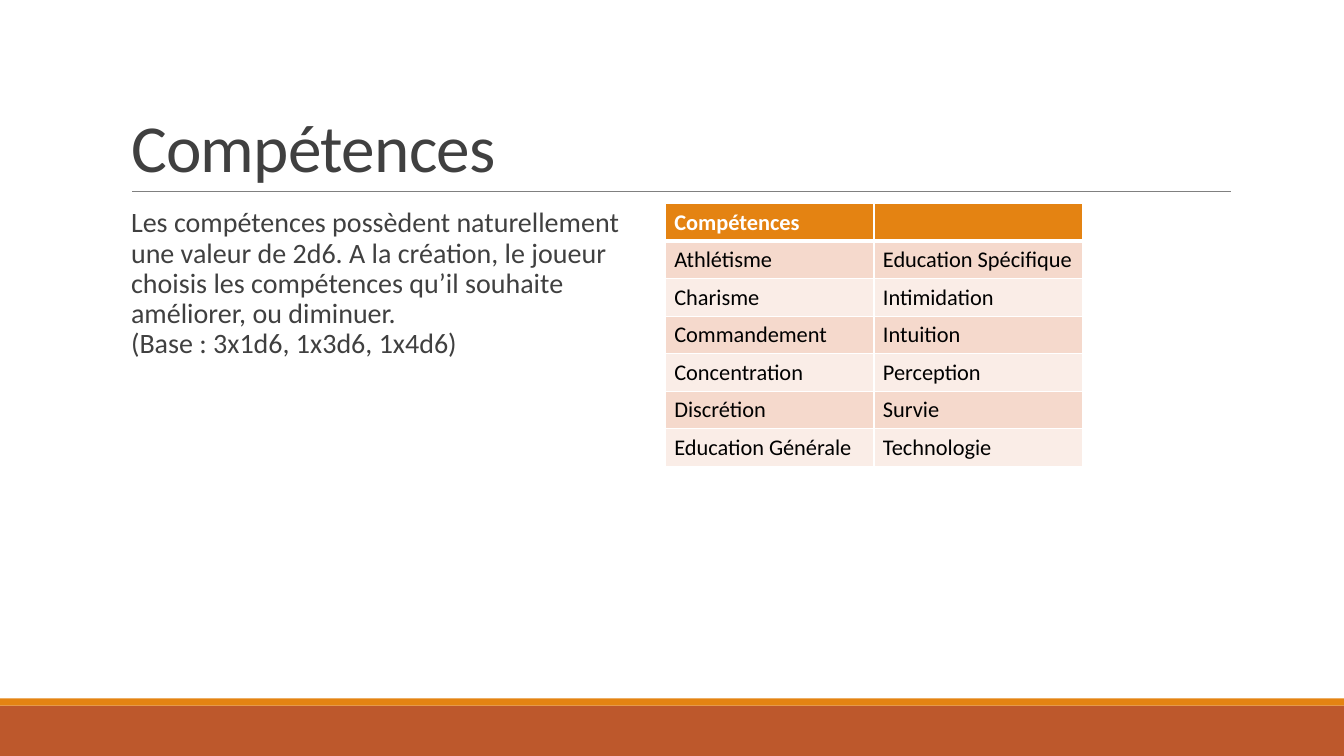
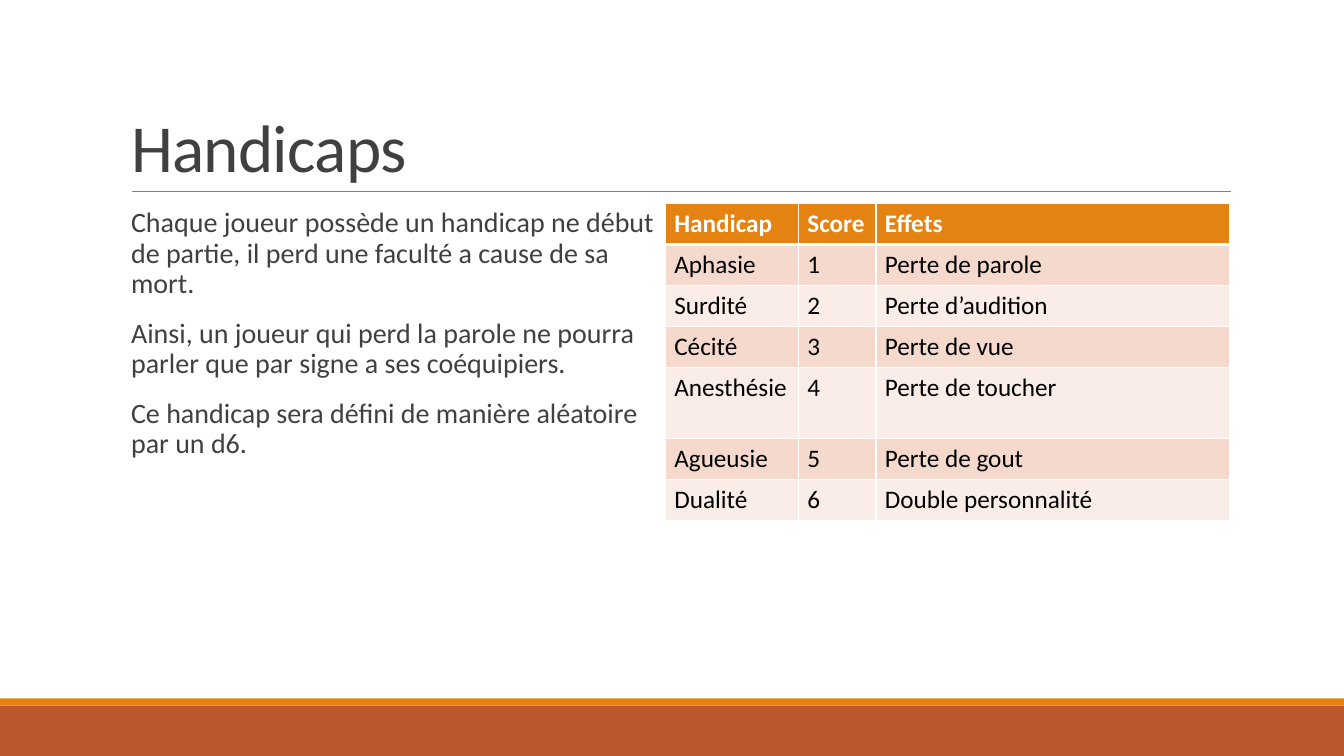
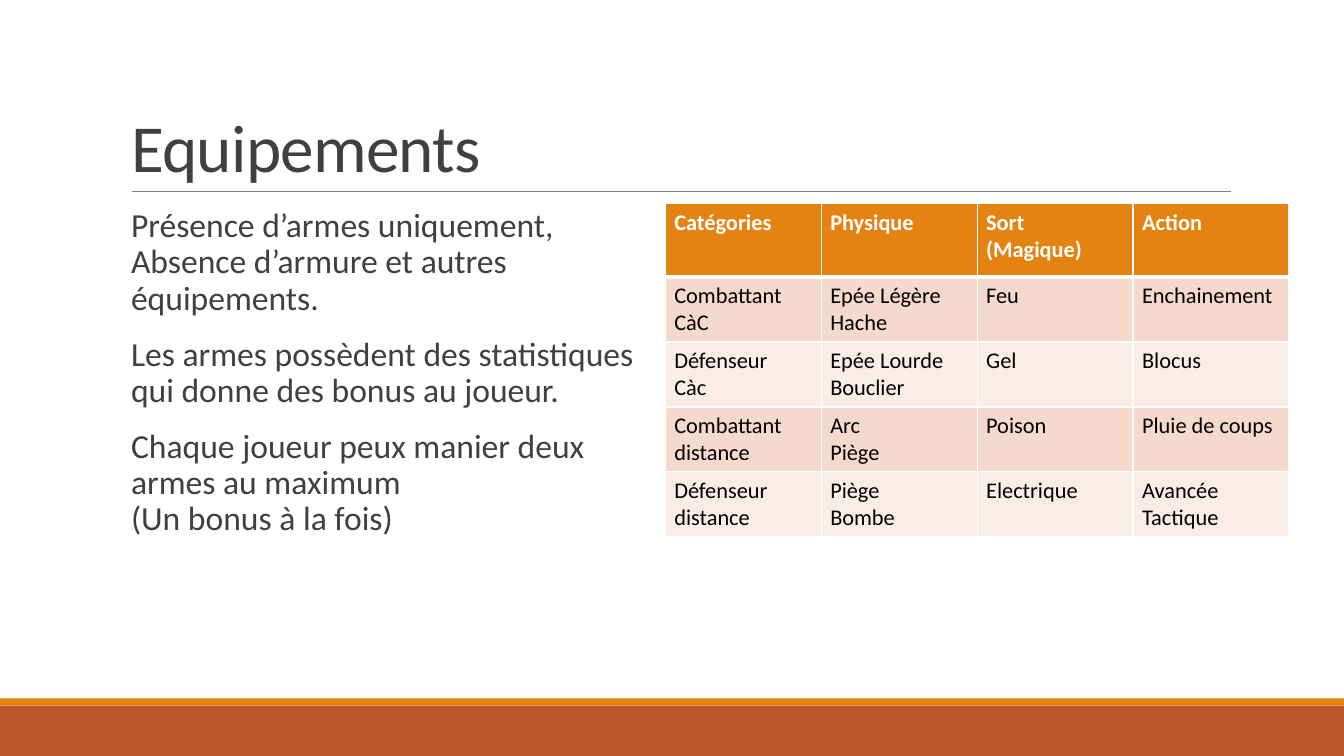
from dataclasses import dataclass

from lxml import etree
from pptx import Presentation
from pptx.dml.color import RGBColor
from pptx.enum.shapes import MSO_CONNECTOR, MSO_SHAPE
from pptx.enum.text import MSO_ANCHOR, MSO_AUTO_SIZE, PP_ALIGN
from pptx.oxml.ns import qn
from pptx.util import Inches, Pt

RECT, LINE = MSO_SHAPE.RECTANGLE, MSO_CONNECTOR.STRAIGHT
BOTTOM, TOP = MSO_ANCHOR.BOTTOM, MSO_ANCHOR.TOP
NO_FIT, LEFT = MSO_AUTO_SIZE.NONE, PP_ALIGN.LEFT


@dataclass
class Theme:
    font: str = "Calibri"
    ink: str = "404040"
    black: str = "000000"
    white: str = "FFFFFF"
    rule: str = "808080"
    rust: str = "BD582C"
    orange: str = "E48312"
    bands: tuple = ("FAEDE7", "F5D9CC")
    title: int = 48


theme = Theme()

# Grid of tenth-inch cells: 133.33 columns by 75 rows
COLS, ROWS = 133.33, 75
EDGE, MID, BODY = 12, 66, 20.2


def grid(*cells):
    return [Inches(cell / 10) for cell in cells]


def write(para, text, size, color, bold=False, spc=None):
    """Add text run by run, with a line break at each newline."""
    for num, part in enumerate(text.split("\n")):
        if num:
            para.add_line_break()
        run = para.add_run()
        run.text = part
        font = run.font
        font.name, font.size, font.bold = theme.font, Pt(size), bold
        font.color.rgb = RGBColor.from_string(color)
        if spc:
            run._r.get_or_add_rPr().set("spc", str(spc))


# Content of the slides; table widths and heights are in grid cells
pages = [
    dict(
        title="Compétences", size=20, cell=16,
        text=["Les compétences possèdent naturellement une valeur de 2d6. "
              "A la création, le joueur choisis les compétences qu’il souhaite "
              "améliorer, ou diminuer.\n(Base : 3x1d6, 1x3d6, 1x4d6)"],
        wide=[20.7] * 2, high=[3.7] * 7,
        rows=[["Compétences", ""],
              ["Athlétisme", "Education Spécifique"],
              ["Charisme", "Intimidation"],
              ["Commandement", "Intuition"],
              ["Concentration", "Perception"],
              ["Discrétion", "Survie"],
              ["Education Générale", "Technologie"]],
    ),
    dict(
        title="Handicaps", size=20, cell=18,
        text=["Chaque joueur possède un handicap ne début de partie, "
              "il perd une faculté a cause de sa mort.",
              "Ainsi, un joueur qui perd la parole ne pourra parler "
              "que par signe a ses coéquipiers.",
              "Ce handicap sera défini de manière aléatoire par un d6."],
        wide=[13.2, 7.7, 35.1], high=[4.05] * 4 + [7.1] + [4.05] * 2,
        rows=[["Handicap", "Score", "Effets"],
              ["Aphasie", "1", "Perte de parole"],
              ["Surdité", "2", "Perte d’audition"],
              ["Cécité", "3", "Perte de vue"],
              ["Anesthésie", "4", "Perte de toucher"],
              ["Agueusie", "5", "Perte de gout"],
              ["Dualité", "6", "Double personnalité"]],
    ),
    dict(
        title="Equipements", size=24, cell=16,
        text=["Présence d’armes uniquement,\n"
              "Absence d’armure et autres équipements.",
              "Les armes possèdent des statistiques qui donne des bonus au joueur.",
              "Chaque joueur peux manier deux armes au maximum\n"
              "(Un bonus à la fois)"],
        wide=[15.47] * 4, high=[7.3] + [6.42] * 4,
        rows=[["Catégories", "Physique", "Sort (Magique)", "Action"],
              ["Combattant\nCàC", "Epée Légère\nHache", "Feu", "Enchainement"],
              ["Défenseur\nCàc", "Epée Lourde\nBouclier", "Gel", "Blocus"],
              ["Combattant\ndistance", "Arc\nPiège", "Poison", "Pluie de coups"],
              ["Défenseur\ndistance", "Piège\nBombe", "Electrique",
               "Avancée Tactique"]],
    ),
]

deck = Presentation()
deck.slide_width, deck.slide_height = grid(COLS, ROWS)
layout = deck.slide_layouts[1]

# Shared title and body places
spots = [(EDGE, 3.1, 110, 15.9), (EDGE, BODY, 54, 44)]
for holder, spot in zip(layout.placeholders, spots):
    holder.left, holder.top, holder.width, holder.height = grid(*spot)

slides = [deck.slides.add_slide(layout) for page in pages]

# Shared bands and rule, drawn once and moved to the layout
shapes = slides[0].shapes
decor = []
for top, high, color in [(70, 5, theme.rust), (69.3, 0.7, theme.orange)]:
    band = shapes.add_shape(RECT, *grid(0, top, COLS, high))
    band.shadow.inherit = False
    band.fill.solid()
    band.fill.fore_color.rgb = RGBColor.from_string(color)
    band.line.fill.background()
    decor.append(band)
rule = shapes.add_connector(LINE, *grid(13.1, 19, 122.1, 19))
rule.line.color.rgb = RGBColor.from_string(theme.rule)
rule.line.width = Pt(0.5)
etree.SubElement(rule.element.spPr, qn("a:effectLst"))
decor.append(rule)
for part in decor:
    layout.shapes.element.append(part.element)

for slide, page in zip(slides, pages):
    # Title
    frame = slide.shapes.title.text_frame
    frame.vertical_anchor, frame.auto_size = BOTTOM, NO_FIT
    frame.word_wrap = True
    para = frame.paragraphs[0]
    para.alignment, para.line_spacing = LEFT, 0.85
    write(para, page["title"], theme.title, theme.ink, spc=-50)

    # Body text
    frame = slide.placeholders[1].text_frame
    frame.vertical_anchor, frame.auto_size = TOP, NO_FIT
    frame.word_wrap = True
    frame.margin_left = frame.margin_right = 0
    for num, text in enumerate(page["text"]):
        para = frame.add_paragraph() if num else frame.paragraphs[0]
        props = para._p.get_or_add_pPr()
        props.set("marL", str(Inches(0.1)))
        props.set("indent", "0")
        etree.SubElement(props, qn("a:buNone"))
        para.line_spacing = 0.9
        para.space_before, para.space_after = Pt(12 if num else 0), Pt(2)
        write(para, text, page["size"], theme.ink)

    # Table
    rows, wide, high = page["rows"], page["wide"], page["high"]
    spot = grid(MID, BODY, sum(wide), sum(high))
    table = slide.shapes.add_table(len(rows), len(wide), *spot).table
    for col, width in zip(table.columns, grid(*wide)):
        col.width = width
    for row, height in zip(table.rows, grid(*high)):
        row.height = height
    for r, row in enumerate(rows):
        for c, text in enumerate(row):
            cell = table.cell(r, c)
            cell.margin_left = cell.margin_right = Inches(0.09)
            cell.margin_top = cell.margin_bottom = Inches(0.05)
            cell.fill.solid()
            fill = theme.bands[r % 2] if r else theme.orange
            cell.fill.fore_color.rgb = RGBColor.from_string(fill)
            para = cell.text_frame.paragraphs[0]
            if text:
                color = theme.black if r else theme.white
                write(para, text, page["cell"], color, bold=not r)
            else:
                end = etree.SubElement(para._p, qn("a:endParaRPr"))
                end.set("sz", str(page["cell"] * 100))
            # White borders, thicker under the header
            props = cell._tc.get_or_add_tcPr()
            for num, side in enumerate("LRTB"):
                thick = (r, side) in [(0, "B"), (1, "T")]
                edge = etree.Element(qn(f"a:ln{side}"))
                edge.set("w", str(Pt(3 if thick else 1)))
                paint = etree.SubElement(edge, qn("a:solidFill"))
                etree.SubElement(paint, qn("a:srgbClr")).set("val", theme.white)
                props.insert(num, edge)

deck.save("out.pptx")
